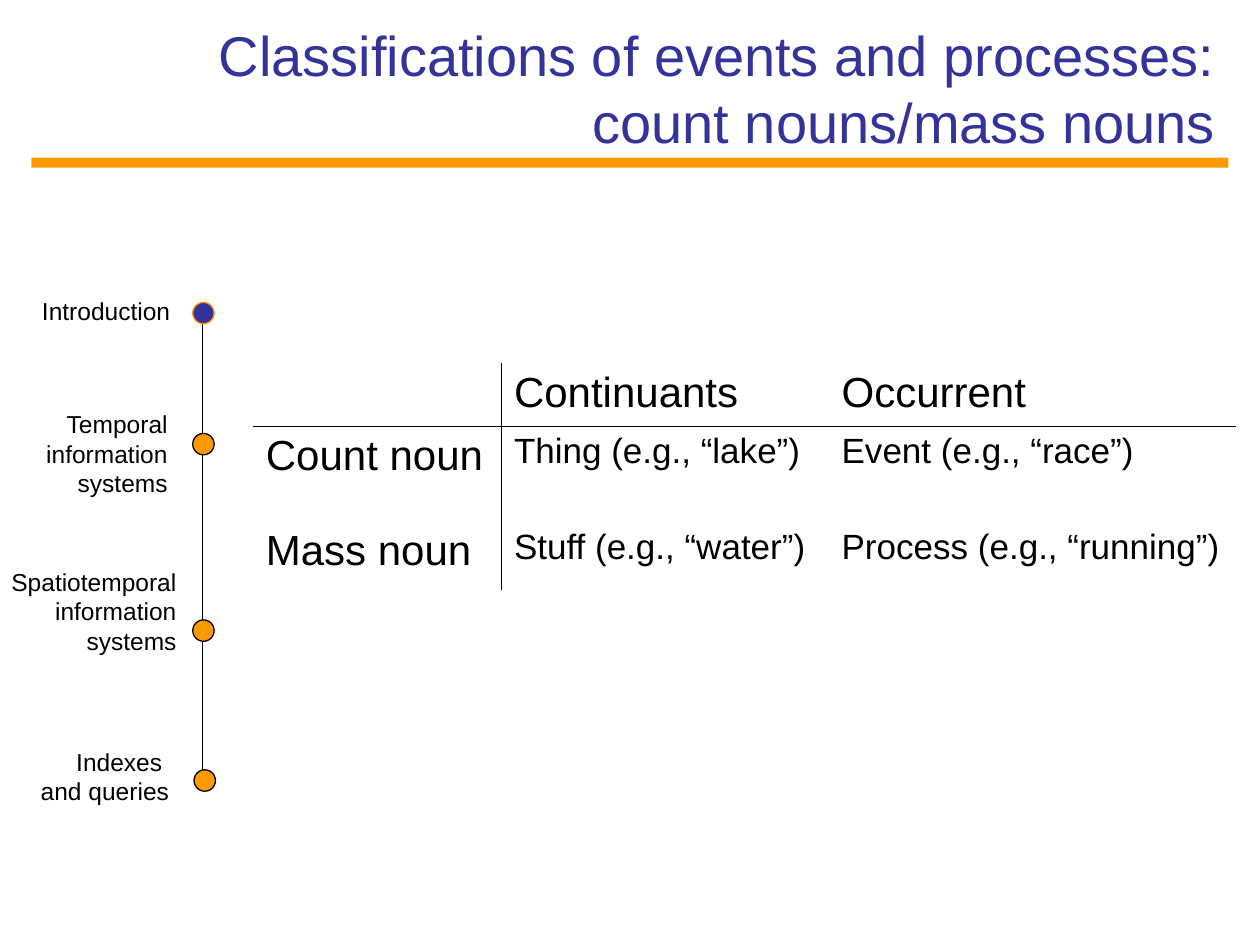
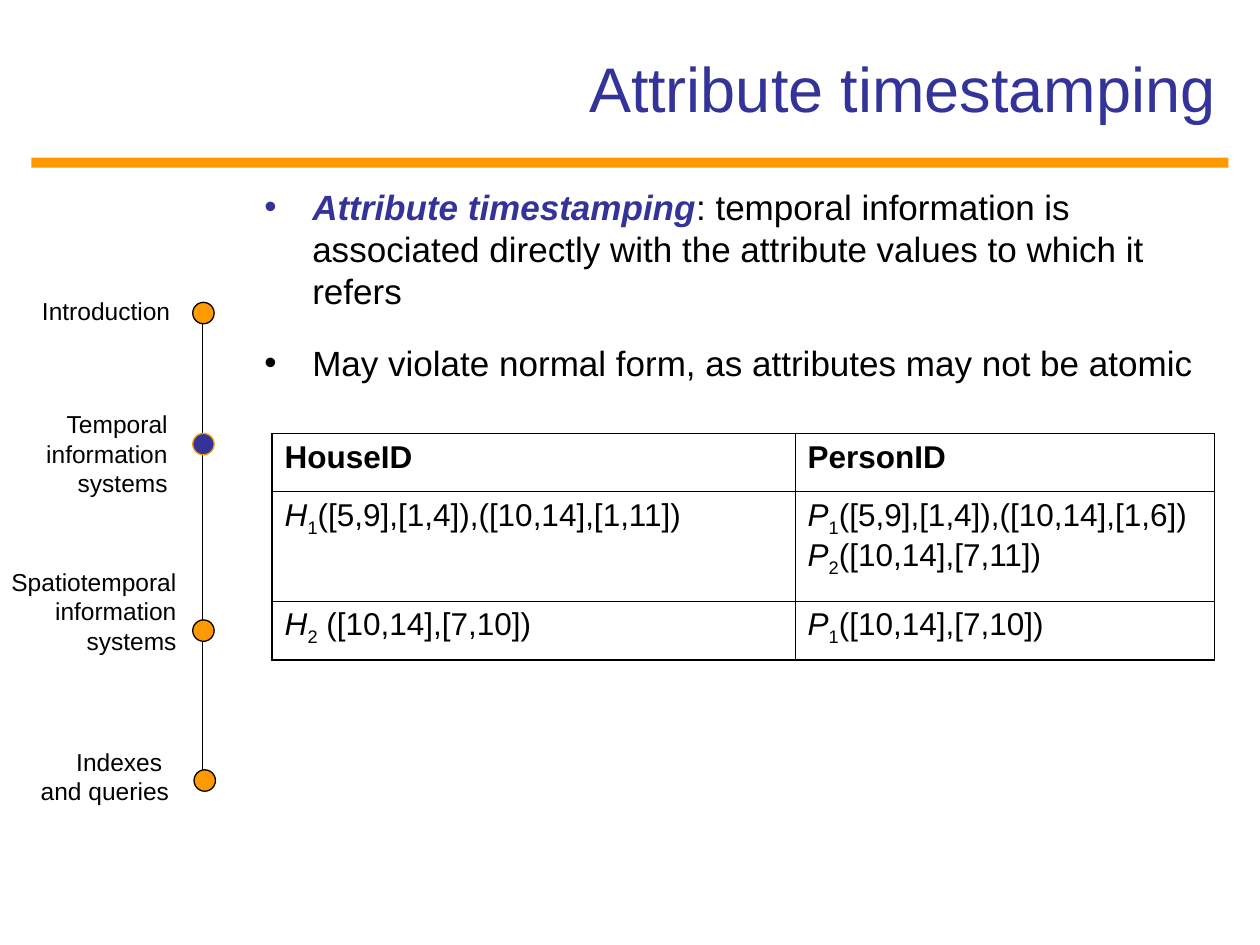
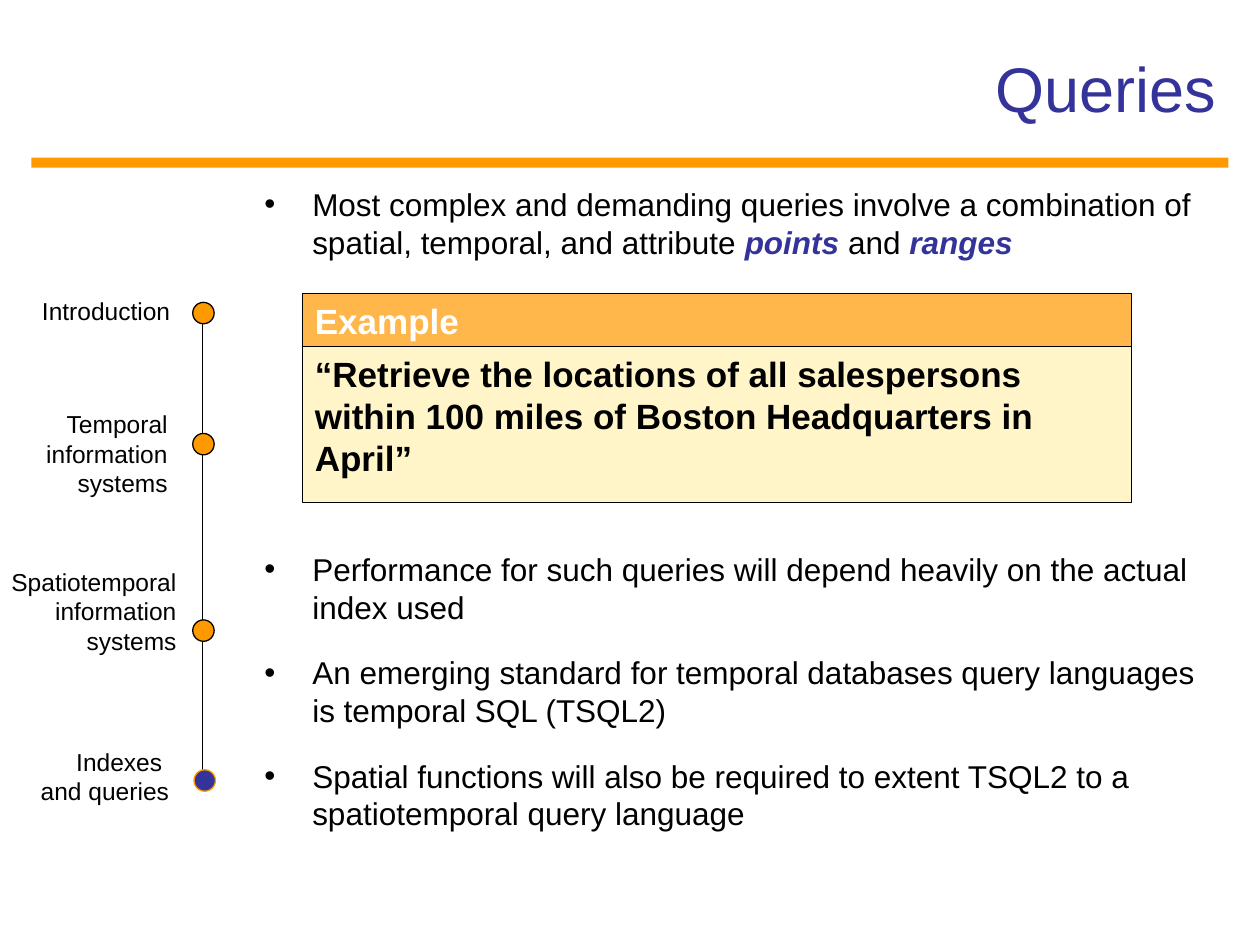
from itertools import accumulate

from lxml.etree import SubElement
from pptx import Presentation
from pptx.dml.color import RGBColor
from pptx.enum.shapes import MSO_CONNECTOR, MSO_SHAPE
from pptx.enum.text import MSO_ANCHOR, MSO_AUTO_SIZE, PP_ALIGN
from pptx.oxml.ns import qn
from pptx.util import Inches, Pt

FONT = "Arial"
BLACK = RGBColor(0, 0, 0)
WHITE = RGBColor(255, 255, 255)
BLUE = RGBColor(0x33, 0x33, 0x99)
ORANGE = RGBColor(0xFF, 0x99, 0x00)
LIGHT_ORANGE = RGBColor(0xFF, 0xB6, 0x4B)
CREAM = RGBColor(0xFF, 0xF5, 0xC9)

STYLES = {
    "plain": {},
    "key": {"color": BLUE, "bold": True, "italic": True},
    "bold": {"bold": True},
    "white": {"color": WHITE, "bold": True},
    "italic": {"italic": True},
    "sub": {"baseline": "-25000"},
}

STOPS = [
    ("Introduction", (0.13, 2.3, 1.32, 0.34), (1.53, 2.4)),
    ("Temporal\ninformation\nsystems", (0.13, 3.2, 1.3, 0.8), (1.53, 3.44)),
    ("Spatiotemporal\ninformation\nsystems", (-0.2, 4.45, 1.7, 0.8), (1.53, 4.92)),
    ("Indexes \nand queries", (0.12, 5.88, 1.32, 0.57), (1.54, 6.11)),
]
DOT = 0.17

NOUN_TABLE = {
    "at": (2.01, 2.88), "columns": [1.97, 2.6, 3.23], "rows": [0.5, 0.76, 0.54],
    "vertical": [0, 0.45, 0, 0], "horizontal": [0, 0.45, 0, 0],
    "heading_size": 24, "size": 20,
    "cells": [
        [[], [["Continuants"]], [["Occurrent"]]],
        [[["Count noun"]], [["Thing (e.g., “lake”)"]], [["Event (e.g., “race”)"]]],
        [[["Mass noun"]], [["Stuff (e.g., “water”)"]], [["Process (e.g., “running”)"]]],
    ],
}


def timestamped(letter, index, stamps):
    """Return the spans of a subscripted identifier and its timestamps."""
    return [(letter, "italic"), (index, "sub"), stamps]


HOUSE_TABLE = {
    "at": (2.16, 3.44), "columns": [4.15, 3.33], "rows": [0.46, 0.87, 0.47],
    "vertical": [1.08, 0.45, 1.08], "horizontal": [1.08, 0.45, 0.45, 1.08],
    "heading_size": 18, "size": 18,
    "cells": [
        [[[("HouseID", "bold")]], [[("PersonID", "bold")]]],
        [[timestamped("H", "1", "([5,9],[1,4]),([10,14],[1,11])")],
         [timestamped("P", "1", "([5,9],[1,4]),([10,14],[1,6])"),
          timestamped("P", "2", "([10,14],[7,11])")]],
        [[timestamped("H", "2", " ([10,14],[7,10])")],
         [timestamped("P", "1", "([10,14],[7,10])")]],
    ],
}

TIMESTAMP_BULLETS = [
    [("Attribute timestamping", "key"),
     ": temporal information is associated directly with the attribute values to which it refers"],
    ["May violate normal form, as attributes may not be atomic"],
]

QUERY_BULLETS = [
    ["Most complex and demanding queries involve a combination of spatial, temporal, and attribute ",
     ("points", "key"), " and ", ("ranges", "key")],
    ["Performance for such queries will depend heavily on the actual index used"],
    ["An emerging standard for temporal databases query languages is temporal SQL (TSQL2)"],
    ["Spatial functions will also be required to extent TSQL2 to a spatiotemporal query language"],
]
EXAMPLE_GAP = 157.5

EXAMPLE = [
    ((2.4, 2.75, 6.58, 1.24), CREAM,
     ("“Retrieve the locations of all salespersons within 100 miles of Boston Headquarters in April”", "bold")),
    ((2.4, 2.33, 6.58, 0.42), LIGHT_ORANGE, ("Example", "white")),
]


def inches(values):
    """Convert numbers to lengths."""
    return [Inches(value) for value in values]


def write(frame, paragraphs, size, align=PP_ALIGN.LEFT, spacing=0):
    """Fill a text frame with paragraphs made of styled spans."""
    for number, spans in enumerate(paragraphs):
        para = frame.paragraphs[0] if number == 0 else frame.add_paragraph()
        para.alignment = align
        para.space_before = para.space_after = Pt(spacing)
        for item in spans:
            text, style_name = (item, "plain") if isinstance(item, str) else item
            style = STYLES[style_name]
            span = para.add_run()
            span.text = text
            span.font.name = FONT
            span.font.size = Pt(size)
            span.font.color.rgb = style.get("color", BLACK)
            span.font.bold = style.get("bold", False)
            span.font.italic = style.get("italic", False)
            if "baseline" in style:
                span.font._element.set("baseline", style["baseline"])


def add_block(slide, kind, bounds, fill, line=None):
    """Add a flat filled shape."""
    block = slide.shapes.add_shape(kind, *inches(bounds))
    block.shadow.inherit = False
    block.fill.solid()
    block.fill.fore_color.rgb = fill
    if line is None:
        block.line.fill.background()
    else:
        block.line.color.rgb = line
        block.line.width = Pt(0.75)
    return block


def add_timeline(slide, current):
    """Draw the section timeline with the current section marked."""
    track = slide.shapes.add_connector(MSO_CONNECTOR.STRAIGHT, *inches((1.61, 2.57, 1.61, 6.19)))
    track.line.color.rgb = BLACK
    track.line.width = Pt(0.75)
    SubElement(track._element.spPr, qn("a:effectLst"))
    for number, (label, bounds, corner) in enumerate(STOPS):
        box = slide.shapes.add_textbox(*inches(bounds))
        box.text_frame.word_wrap = True
        write(box.text_frame, [[line] for line in label.split("\n")], 14, PP_ALIGN.RIGHT)
        fill, line = (BLUE, ORANGE) if number == current else (ORANGE, BLACK)
        add_block(slide, MSO_SHAPE.OVAL, (*corner, DOT, DOT), fill, line)


def add_page(deck, title, size, current):
    """Add a slide with title, band and timeline."""
    page = deck.slides.add_slide(deck.slide_layouts[5])
    heading = page.shapes.title
    heading.left, heading.top, heading.width, heading.height = inches((0.75, 0.22, 9, 0.95))
    frame = heading.text_frame
    frame.text = title
    frame.auto_size = MSO_AUTO_SIZE.NONE
    frame.vertical_anchor = MSO_ANCHOR.MIDDLE
    para = frame.paragraphs[0]
    para.alignment = PP_ALIGN.RIGHT
    font = para.runs[0].font
    font.name, font.size, font.color.rgb = FONT, Pt(size), BLUE
    add_block(page, MSO_SHAPE.RECTANGLE, (0.25, 1.25, 9.5, 0.08), ORANGE)
    add_timeline(page, current)
    return page


def add_bullets(page, bullets, size):
    """Add the bulleted body text and return its paragraphs."""
    box = page.shapes.add_textbox(*inches((2, 1.42, 7.75, 5.5)))
    box.text_frame.word_wrap = True
    write(box.text_frame, bullets, size, spacing=0.44 * size)
    for para in box.text_frame.paragraphs:
        properties = para._p.get_or_add_pPr()
        properties.set("marL", str(Inches(0.38)))
        properties.set("indent", str(-Inches(0.38)))
        color = SubElement(properties, qn("a:buClr"))
        SubElement(color, qn("a:srgbClr"), val=str(para.runs[0].font.color.rgb))
        SubElement(properties, qn("a:buFont"), typeface=FONT)
        SubElement(properties, qn("a:buChar"), char="•")
    return box.text_frame.paragraphs


def set_borders(cell, widths):
    """Rule the left, right, top and bottom sides of a cell."""
    properties = cell._tc.get_or_add_tcPr()
    for side, width in zip("LRTB", widths):
        line = SubElement(properties, qn(f"a:ln{side}"), w=str(Pt(width)))
        if width:
            fill = SubElement(line, qn("a:solidFill"))
            SubElement(fill, qn("a:srgbClr"), val=str(BLACK))
        else:
            SubElement(line, qn("a:noFill"))


def add_grid(page, content):
    """Add a table ruled by the line widths of its grid."""
    columns, rows = content["columns"], content["rows"]
    bounds = (*content["at"], list(accumulate(columns))[-1], list(accumulate(rows))[-1])
    table = page.shapes.add_table(len(rows), len(columns), *inches(bounds)).table
    table.first_row = table.horz_banding = False
    for column, width in zip(table.columns, columns):
        column.width = Inches(width)
    vertical, horizontal = content["vertical"], content["horizontal"]
    for r, height in enumerate(rows):
        table.rows[r].height = Inches(height)
        for c, paragraphs in enumerate(content["cells"][r]):
            cell = table.cell(r, c)
            set_borders(cell, (*vertical[c:c + 2], *horizontal[r:r + 2]))
            cell.fill.background()
            size = content["size"] if r and c else content["heading_size"]
            spacing = 0.44 * size if len(paragraphs) == 1 else 0
            write(cell.text_frame, paragraphs, size, spacing=spacing)


def main():
    """Build the deck."""
    deck = Presentation()
    deck.slide_width, deck.slide_height = inches((10, 7.5))

    page = add_page(deck, "Classifications of events and processes: count nouns/mass nouns", 32, 0)
    add_grid(page, NOUN_TABLE)

    page = add_page(deck, "Attribute timestamping", 36, 1)
    add_bullets(page, TIMESTAMP_BULLETS, 20)
    add_grid(page, HOUSE_TABLE)

    page = add_page(deck, "Queries", 36, 3)
    paragraphs = add_bullets(page, QUERY_BULLETS, 18)
    paragraphs[1].space_before = Pt(EXAMPLE_GAP)
    for bounds, fill, span in EXAMPLE:
        block = add_block(page, MSO_SHAPE.RECTANGLE, bounds, fill, BLACK)
        block.text_frame.word_wrap = True
        block.text_frame.vertical_anchor = MSO_ANCHOR.TOP
        write(block.text_frame, [[span]], 20)

    deck.save("out.pptx")


if __name__ == "__main__":
    main()
